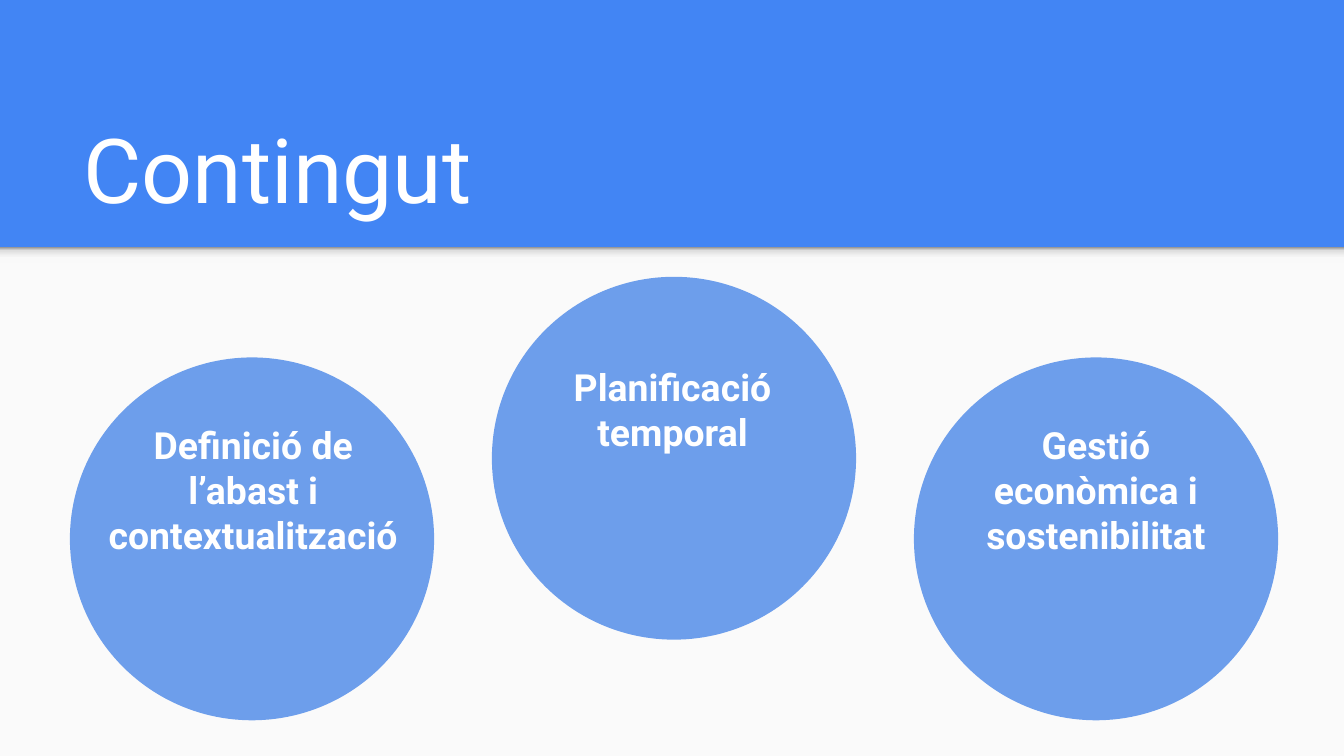
from lxml import etree
from pptx import Presentation
from pptx.dml.color import RGBColor
from pptx.enum.shapes import MSO_SHAPE as SHAPE
from pptx.enum.text import MSO_ANCHOR as ANCHOR, PP_ALIGN as ALIGN
from pptx.oxml.ns import qn
from pptx.util import Inches, Pt


def rgb(color):
    return RGBColor.from_string(color)


def set_text(sp, text, size, align, bold=False):
    tf = sp.text_frame
    tf.text = text
    tf.word_wrap = True
    tf.vertical_anchor = ANCHOR.MIDDLE
    tf.margin_left = tf.margin_right = Inches(0.1)
    tf.margin_top = tf.margin_bottom = Inches(0.1)
    p = tf.paragraphs[0]
    p.alignment = align
    p.line_spacing = 1.0
    font = p.runs[0].font
    font.name, font.size, font.bold = "Roboto", Pt(size), bold
    font.color.rgb = rgb("FFFFFF")


prs = Presentation()
prs.slide_width = Inches(10)
prs.slide_height = Inches(10) * 9 // 16
s = prs.slides.add_slide(prs.slide_layouts[5])
s.background.fill.solid()
s.background.fill.fore_color.rgb = rgb("4285F4")

top = Inches(1.84)
panel = s.shapes.add_shape(
    SHAPE.RECTANGLE, 0, top, prs.slide_width, prs.slide_height - top)
panel.shadow.inherit = False
panel.fill.solid()
panel.fill.fore_color.rgb = rgb("FAFAFA")
panel.line.fill.background()

edge = s.shapes.add_shape(SHAPE.RECTANGLE, 0, top, prs.slide_width, Inches(0.12))
edge.shadow.inherit = False
edge.line.fill.background()
edge.fill.gradient()
edge.fill.gradient_angle = 90
stops = edge.element.spPr.find(".//" + qn("a:gsLst"))
for stop in list(stops):
    stops.remove(stop)
for pos, color in [(0, "F9F9F9"), (36, "F9F9F9"), (80, "DEDEDE"), (100, "999999")]:
    stop = etree.SubElement(stops, qn("a:gs"), pos=str(pos * 1000))
    etree.SubElement(stop, qn("a:srgbClr"), val=color)

title = s.shapes.title
title.left, title.top = Inches(0.52), Inches(0.74)
title.width, title.height = Inches(8.99), Inches(1.02)
set_text(title, "Contingut", 48, ALIGN.LEFT)

topics = [
    ("Definició de l’abast i contextualització", 0.7, 2.66),
    ("Planificació temporal", 3.82, 2.06),
    ("Gestió econòmica i sostenibilitat", 6.97, 2.66),
]
for i, (topic, label_left, y) in enumerate(topics):
    circle = s.shapes.add_shape(
        SHAPE.OVAL, Inches(0.52 + 3.14 * i), Inches(y), Inches(2.71), Inches(2.7))
    circle.shadow.inherit = False
    circle.fill.solid()
    circle.fill.fore_color.rgb = rgb("6D9EEB")
    circle.line.fill.background()

    label = s.shapes.add_textbox(
        Inches(label_left), Inches(y), Inches(2.37), Inches(1.97))
    set_text(label, topic, 20, ALIGN.CENTER, bold=True)

prs.save("out.pptx")
